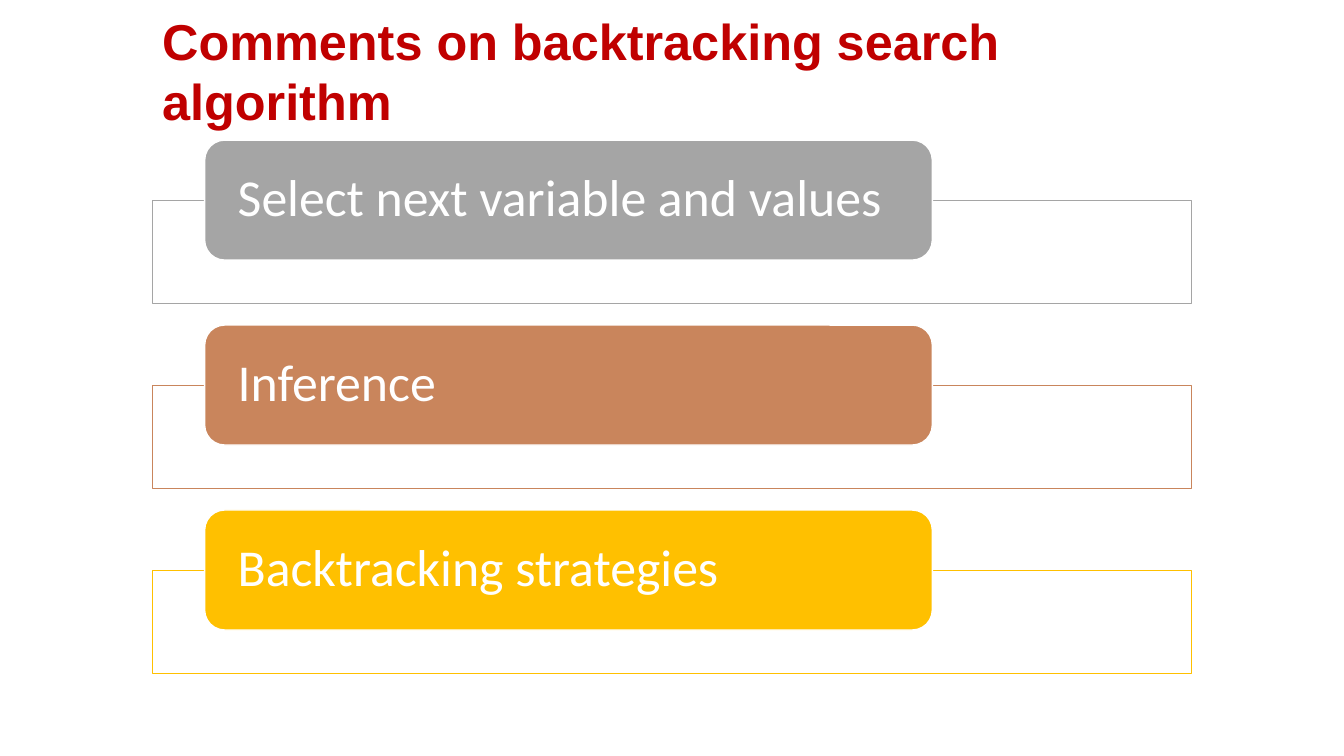
from dataclasses import dataclass

from pptx import Presentation
from pptx import util as u
from pptx.dml.color import RGBColor
from pptx.enum import shapes, text


@dataclass(frozen=True)
class Theme:
    title_font: str = "Arial"
    body_font: str = "Calibri"
    title_size: float = 36
    label_size: float = 37
    line_width: float = 1
    title: str = "C00000"
    white: str = "FFFFFF"
    grey: str = "A5A5A5"
    copper: str = "C9855C"
    gold: str = "FFC000"


@dataclass(frozen=True)
class Box:
    left: float
    top: float
    width: float
    height: float

    def lengths(self):
        return [u.Inches(n) for n in (self.left, self.top, self.width, self.height)]


THEME = Theme()
TITLE = "Comments on backtracking search algorithm"
TOPICS = [
    ("Select next variable and values", THEME.grey),
    ("Inference", THEME.copper),
    ("Backtracking strategies", THEME.gold),
]


def write(frame, words, frame_format, font_format, colour):
    """Put one formatted paragraph into a text frame and return it."""
    for name, value in frame_format.items():
        setattr(frame, name, value)
    para = frame.paragraphs[0]
    para.alignment = text.PP_ALIGN.LEFT
    span = para.add_run()
    span.text = words
    for name, value in font_format.items():
        setattr(span.font, name, value)
    span.font.color.rgb = RGBColor.from_string(colour)
    return para


def add_panel(page, kind, box, fill, line):
    panel = page.shapes.add_shape(kind, *box.lengths())
    panel.shadow.inherit = False
    panel.fill.solid()
    panel.fill.fore_color.rgb = RGBColor.from_string(fill)
    panel.line.color.rgb = RGBColor.from_string(line)
    panel.line.width = u.Pt(THEME.line_width)
    return panel


def add_title(page, box):
    title = page.shapes.add_textbox(*box.lengths())
    frame_format = {
        "word_wrap": True,
        "auto_size": text.MSO_AUTO_SIZE.SHAPE_TO_FIT_TEXT,
        "margin_top": u.Inches(0.1),
    }
    font_format = {"name": THEME.title_font, "size": u.Pt(THEME.title_size), "bold": True}
    write(title.text_frame, TITLE, frame_format, font_format, THEME.title)


def add_topic(page, box, words, colour):
    """Place an outlined panel with a label straddling its top edge."""
    label_height = 1.19
    panel_box = Box(box.left, box.top + 0.6, box.width, box.height - 0.6)
    label_box = Box(box.left + 0.52, box.top, box.width * 0.7, label_height)
    add_panel(page, shapes.MSO_SHAPE.RECTANGLE, panel_box, THEME.white, colour)
    label = add_panel(
        page, shapes.MSO_SHAPE.ROUNDED_RECTANGLE, label_box, colour, THEME.white
    )
    frame_format = {
        "word_wrap": True,
        "vertical_anchor": text.MSO_ANCHOR.MIDDLE,
        "margin_left": u.Inches(0.27),
        "margin_right": u.Inches(0.27),
        "margin_top": 0,
        "margin_bottom": 0,
    }
    font_format = {"name": THEME.body_font, "size": u.Pt(THEME.label_size)}
    para = write(label.text_frame, words, frame_format, font_format, THEME.white)
    para.line_spacing = 0.9


def add_topic_list(page, box):
    topic_height = 1.62
    pitch = (box.height - topic_height) / (len(TOPICS) - 1)
    for row, (words, colour) in enumerate(TOPICS):
        topic_box = Box(box.left, box.top + row * pitch, box.width, topic_height)
        add_topic(page, topic_box, words, colour)


def main():
    deck = Presentation()
    deck.slide_width = u.Inches(13.33)
    deck.slide_height = u.Inches(7.5)
    page = deck.slides.add_slide(deck.slide_layouts[6])
    add_title(page, Box(1.51, 0, 10.31, 0.71))
    add_topic_list(page, Box(1.51, 1.39, 10.31, 5.29))
    deck.save("out.pptx")


if __name__ == "__main__":
    main()
